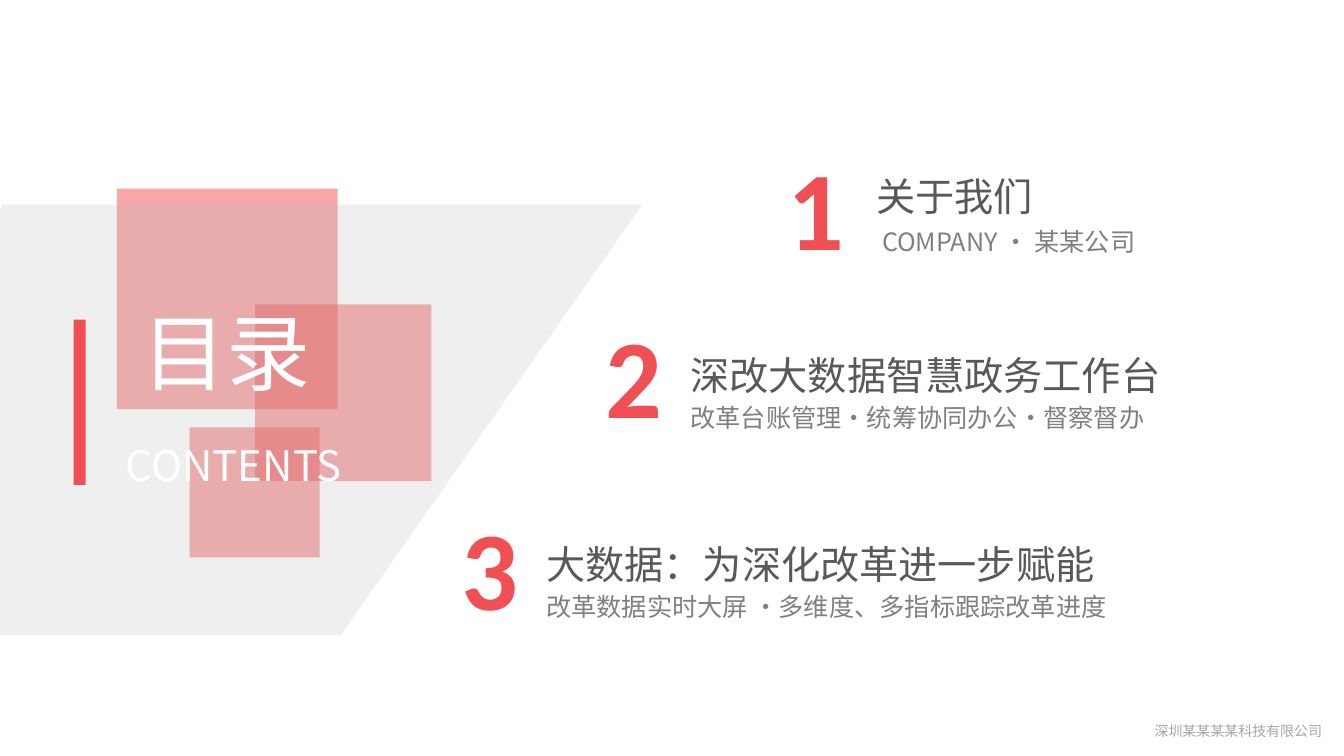
from lxml import etree
from pptx import Presentation, util as u
from pptx.dml.color import RGBColor
from pptx.enum import shapes, text
from pptx.oxml.ns import qn

RED = RGBColor(0xF0, 0x50, 0x53)
WHITE = RGBColor(0xFF, 0xFF, 0xFF)
SILVER = RGBColor(0xBF, 0xBF, 0xBF)
DARK = RGBColor(0x59, 0x59, 0x59)
GREY = RGBColor(0x80, 0x80, 0x80)
PALE = RGBColor(0xA6, 0xA6, 0xA6)

CJK = "Noto Sans CJK SC"
MID = text.MSO_ANCHOR.MIDDLE
LOW = text.MSO_ANCHOR.BOTTOM
TOP = text.MSO_ANCHOR.TOP
LEFT, MIDST, RIGHT = text.PP_ALIGN.LEFT, text.PP_ALIGN.CENTER, text.PP_ALIGN.RIGHT

HEAD = {"size": u.Pt(28), "name": CJK, "color": DARK}
SUB = {"size": u.Pt(18), "name": CJK, "color": GREY}
NUM = {"size": u.Pt(80), "name": "Calibri", "color": RED, "bold": True}
TITLE = {"size": u.Pt(60), "name": CJK, "color": WHITE}
LABEL = {"size": u.Pt(30), "name": CJK, "color": WHITE}
FOOT = {"size": u.Pt(10), "name": CJK, "color": PALE}

# left, top, side
SQUARES = [(1.16, 1.87, 2.19), (2.53, 3.02, 1.75), (1.88, 4.24, 1.29)]
BAND = [(0.03, 2.03), (6.37, 2.03), (3.38, 6.3), (0, 6.3), (0, 2.07)]

# number box, heading box, detail box, heading, detail
ITEMS = [
    ((7.54, 1.32, 1.11, 1.45), (8.59, 1.58, 3.92, 0.73), (8.65, 2.2, 3.63, 0.4),
     "关于我们", "COMPANY · 某某公司"),
    ((5.83, 2.99, 0.91, 1.45), (6.75, 3.35, 6.57, 0.73), (6.75, 3.94, 5.61, 0.4),
     "深改大数据智慧政务工作台", "改革台账管理·统筹协同办公·督察督办"),
    ((4.4, 4.9, 0.91, 1.45), (5.32, 5.23, 6.06, 0.73), (5.32, 5.82, 6.5, 0.4),
     "大数据：为深化改革进一步赋能", "改革数据实时大屏 ·多维度、多指标跟踪改革进度"),
]


def paint(shape, color, alpha=100):
    """Fill a shape, with no line or shadow; alpha is in percent."""
    shape.shadow.inherit = False
    shape.line.fill.background()
    shape.fill.solid()
    shape.fill.fore_color.rgb = color
    if alpha < 100:
        tint = shape.element.spPr.find(".//" + qn("a:srgbClr"))
        etree.SubElement(tint, qn("a:alpha"), val=str(alpha * 1000))


def add_rect(slide, box, color, alpha=100):
    """Add a plain rectangle."""
    rect = slide.shapes.add_shape(shapes.MSO_SHAPE.RECTANGLE, *map(u.Inches, box))
    paint(rect, color, alpha)


def add_band(slide, points):
    """Add the slanted grey band."""
    spots = [(u.Inches(x), u.Inches(y)) for x, y in points]
    form = slide.shapes.build_freeform(*spots[0])
    form.add_line_segments(spots[1:], close=True)
    paint(form.convert_to_shape(), SILVER, 24)


def write(shape, words, style, anchor, align):
    """Put one styled line of text in a shape."""
    frame = shape.text_frame
    frame.word_wrap = True
    frame.auto_size = text.MSO_AUTO_SIZE.NONE
    frame.vertical_anchor = anchor
    para = frame.paragraphs[0]
    para.alignment = align
    run = para.add_run()
    run.text = words
    for key, value in style.items():
        if key == "color":
            run.font.color.rgb = value
        else:
            setattr(run.font, key, value)
    east = etree.SubElement(run.font._element, qn("a:ea"))
    east.set("typeface", style["name"])
    return para


def add_text(slide, box, words, style, anchor=TOP, align=LEFT):
    """Add a text box with one line."""
    area = slide.shapes.add_textbox(*map(u.Inches, box))
    return write(area, words, style, anchor, align)


def add_title(slide, box, words):
    """Place the title above the shapes drawn so far."""
    title = slide.shapes.title
    for key, value in zip(("left", "top", "width", "height"), box):
        setattr(title, key, u.Inches(value))
    write(title, words, TITLE, MID, LEFT)
    title.element.getparent().append(title.element)


def add_item(slide, num, item):
    """Add one numbered entry with heading and detail."""
    spot, top, low, head, detail = item
    add_text(slide, top, head, HEAD, MID)
    add_text(slide, spot, str(num), NUM, align=MIDST)
    add_text(slide, low, detail, SUB)


def main():
    """Build the contents slide."""
    deck = Presentation()
    deck.slide_width, deck.slide_height = u.Inches(13.33), u.Inches(7.5)
    slide = deck.slides.add_slide(deck.slide_layouts[5])
    for left, top, side in SQUARES:
        add_rect(slide, (left, top, side, side), RED, 50)
    add_band(slide, BAND)
    add_title(slide, (1.31, 1.92, 2.33, 3.12), "目录")
    add_rect(slide, (0.73, 3.17, 0.12, 1.64), RED)
    add_text(slide, (1.15, 4.05, 2.4, 0.86), "CONTENTS", LABEL, LOW)
    for num, item in enumerate(ITEMS, 1):
        add_item(slide, num, item)
    foot = add_text(slide, (11.27, 7.11, 1.94, 0.31), "深圳某某某某科技有限公司", FOOT, MID, RIGHT)
    foot.line_spacing = 0.9
    deck.save("out.pptx")


main()
